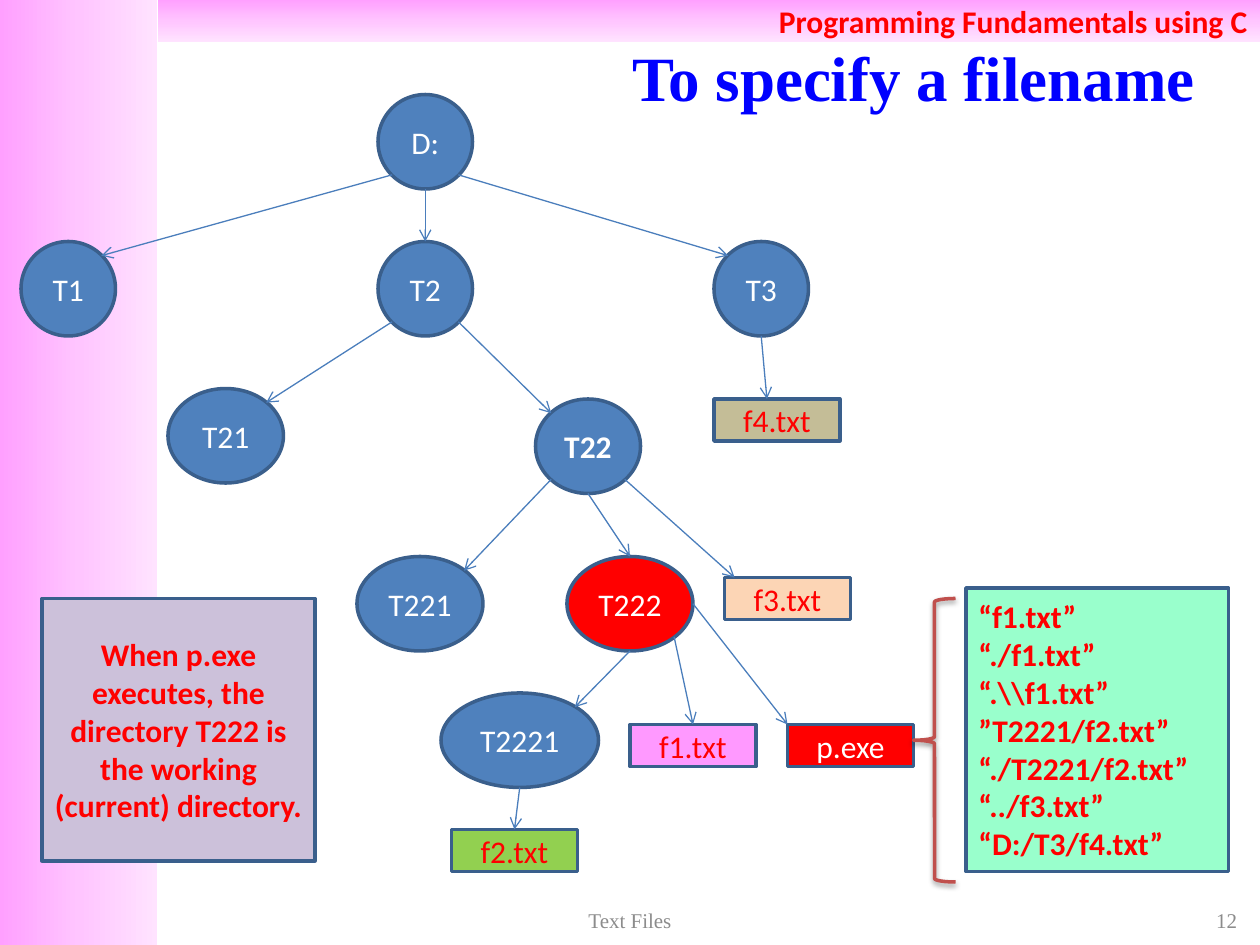
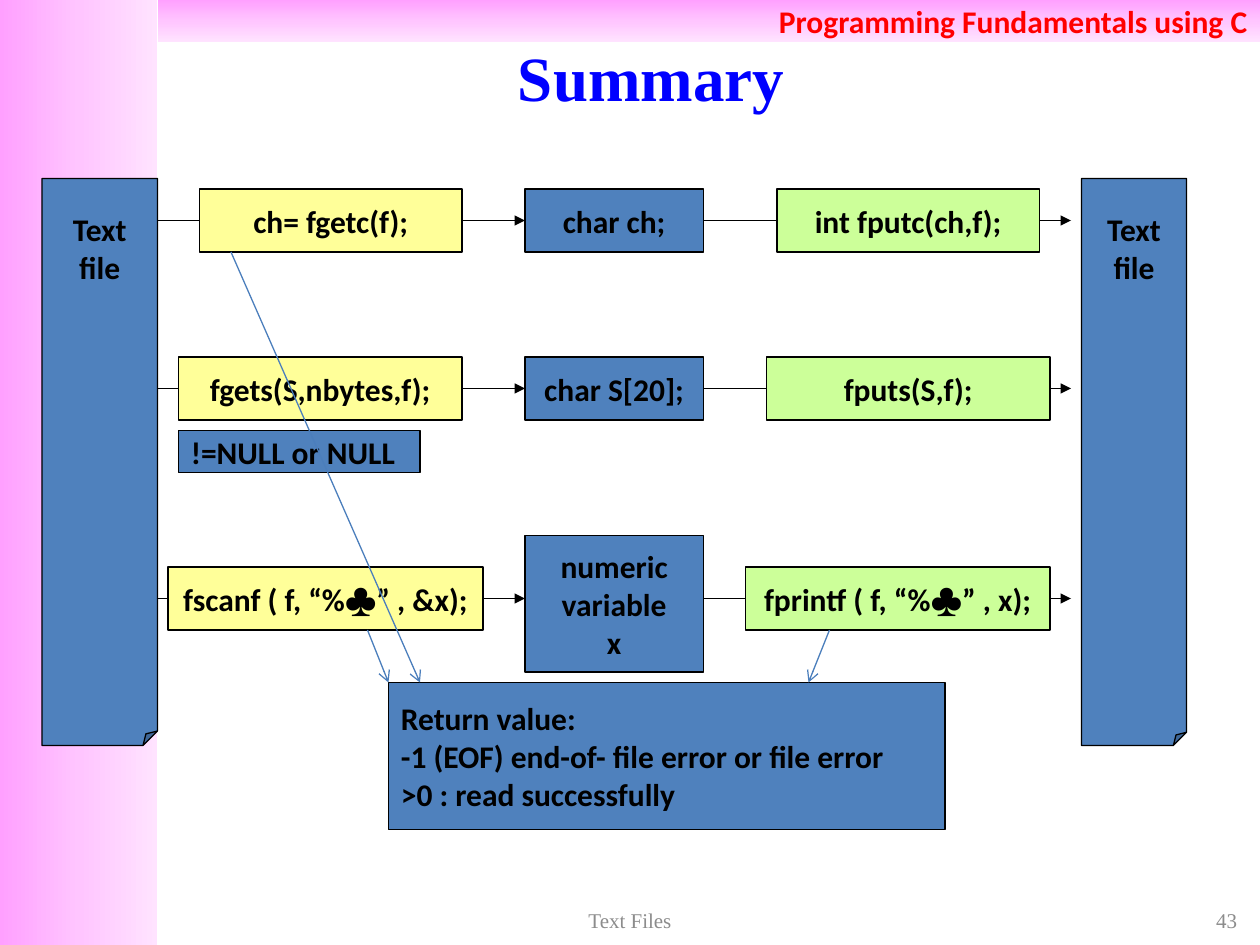
from copy import deepcopy
from lxml import etree
from pptx import Presentation
from pptx.dml.color import RGBColor
from pptx.enum.shapes import MSO_CONNECTOR, MSO_SHAPE
from pptx.enum.text import MSO_ANCHOR, MSO_AUTO_SIZE, PP_ALIGN
from pptx.oxml.ns import qn
from pptx.util import Pt

RECT, OVAL = MSO_SHAPE.RECTANGLE, MSO_SHAPE.OVAL
FOLDED, BRACE = MSO_SHAPE.FOLDED_CORNER, MSO_SHAPE.LEFT_BRACE
STRAIGHT = MSO_CONNECTOR.STRAIGHT
TOP, MIDDLE = MSO_ANCHOR.TOP, MSO_ANCHOR.MIDDLE
LEFT, CENTER, RIGHT = PP_ALIGN.LEFT, PP_ALIGN.CENTER, PP_ALIGN.RIGHT
NO_FIT = MSO_AUTO_SIZE.NONE

BODY, SERIF = "Calibri", "Times New Roman"
BLUE, OUTLINE, ARROW = "4F81BD", "3A5F8C", "4B7EBC"
RED, WHITE, BLACK, GREY = "FF0000", "FFFFFF", "000000", "8C8C8C"
TITLE, YELLOW, GREEN, BRACE_RED = "0000FF", "FFFF99", "CCFF99", "C0504D"
BAND_STOPS = [(0, "FFA0FF"), (0.5, "FFC5FF"), (1, "FFE3FF")]

COURSE, FOOTER = "Programming Fundamentals using C", "Text Files"

FOLDERS = {
    "D:": (216, 54, 54), "T1": (12, 138, 54), "T2": (216, 138, 54),
    "T3": (408, 138, 54), "T21": (96, 222, 66), "T22": (306, 228, 60),
    "T221": (204, 318, 72), "T222": (324, 318, 72), "T2221": (252, 396, 90),
}
FILES = {
    "f4.txt": (408, 228, "C4BD97", RED), "f2.txt": (258, 474, "92D050", RED),
    "f3.txt": (414, 330, "FCD5B5", RED), "f1.txt": (360, 414, "FF99FF", RED),
    "p.exe": (450, 414, RED, WHITE),
}
SPOTS = {
    "top": (0.5, 0), "bottom": (0.5, 1), "right": (1, 0.5), "corner": (0, 0),
    "nw": (0.15, 0.15), "ne": (0.85, 0.15), "sw": (0.15, 0.85), "se": (0.85, 0.85),
    "top left": (0.08, 0), "near top": (0.42, 0),
}
BRANCHES = [
    ("D:", "sw", "T1", "ne"), ("D:", "bottom", "T2", "top"), ("D:", "se", "T3", "nw"),
    ("T2", "sw", "T21", "ne"), ("T2", "se", "T22", "nw"), ("T22", "sw", "T221", "ne"),
    ("T22", "bottom", "T222", "top"), ("T222", "bottom", "T2221", "ne"),
    ("T2221", "bottom", "f2.txt", "top"), ("T22", "se", "f3.txt", "top left"),
    ("T222", "se", "f1.txt", "top"), ("T222", "right", "p.exe", "corner"),
    ("T3", "bottom", "f4.txt", "near top"),
]
FILENAMES = ["“f1.txt”", "“./f1.txt”", "“.\\\\f1.txt”", "”T2221/f2.txt”",
             "“./T2221/f2.txt”", "“../f3.txt”", "“D:/T3/f4.txt”"]
NOTE = "When p.exe executes, the directory T222 is the working (current) directory."

FLOWS = [
    (126, ("ch= fgetc(f);", 114, 150), ("char ch;", 108, 36), ("int fputc(ch,f);", 444, 150)),
    (222, ("fgets(S,nbytes,f);", 102, 162), ("char S[20];", 204, 36), ("fputs(S,f);", 438, 162)),
    (342, ("fscanf ( f, “%♣” , &x);", 96, 180), ("numeric\nvariable\nx", 306, 78),
     ("fprintf ( f, “%♣” , x);", 426, 174)),
]
TEXT_FILES = [(24, 66), (618, 60)]
RETURNS = "Return value:\n-1 (EOF) end-of- file error or file error\n>0 : read successfully"
RETURN_ARROWS = [(132, 144, 240, 390), (210, 360, 222, 390), (474, 360, 462, 390)]


def rgb(value):
    """Turn a hex string into a colour."""
    return RGBColor.from_string(value)


def write(sp, text, size=18, font=BODY, color=BLACK, bold=False, align=CENTER,
          anchor=MIDDLE, wrap=True):
    """Fill a shape with text in one format."""
    tf = sp.text_frame
    tf.text = text
    tf.word_wrap, tf.auto_size, tf.vertical_anchor = wrap, NO_FIT, anchor
    for p in tf.paragraphs:
        p.alignment = align
        for r in p.runs:
            r.font.size, r.font.name, r.font.bold = Pt(size), font, bold
            r.font.color.rgb = rgb(color)


def place(sp, box):
    """Move and size a shape to a box in points."""
    sp.left, sp.top, sp.width, sp.height = map(Pt, box)


def shape(s, kind, box, fill=None, line=None, width=0.75):
    """Add a preset shape without shadow."""
    sp = s.shapes.add_shape(kind, *map(Pt, box))
    sp.shadow.inherit = False
    if fill:
        sp.fill.solid()
        sp.fill.fore_color.rgb = rgb(fill)
    else:
        sp.fill.background()
    if line:
        sp.line.color.rgb, sp.line.width = rgb(line), Pt(width)
    else:
        sp.line.fill.background()
    return sp


def arrow(s, x1, y1, x2, y2, color=ARROW, head="arrow"):
    """Add a thin straight arrow."""
    c = s.shapes.add_connector(STRAIGHT, *map(Pt, (x1, y1, x2, y2)))
    c.line.color.rgb, c.line.width = rgb(color), Pt(0.75)
    etree.SubElement(c.element.spPr.find(qn("a:ln")), qn("a:tailEnd"), type=head)
    etree.SubElement(c.element.spPr, qn("a:effectLst"))


def band(s, box, angle):
    """Add a pink gradient band."""
    sp = shape(s, RECT, box)
    sp.fill.gradient()
    sp.fill.gradient_angle = angle
    stops = sp.element.spPr.find(".//" + qn("a:gsLst"))
    stops.insert(1, deepcopy(stops[0]))
    for stop, (position, color) in zip(sp.fill.gradient_stops, BAND_STOPS):
        stop.color.rgb, stop.position = rgb(color), position
    return sp


def new_slide(prs, title, box, align, number):
    """Add a slide with bands, title and footers."""
    s = prs.slides.add_slide(prs.slide_layouts[5])
    band(s, (0, 0, 90, 540), 0)
    write(band(s, (90, 0, 630, 24), 270), COURSE, color=RED, bold=True, align=RIGHT)
    sp = s.shapes.title
    place(sp, box)
    write(sp, title, 36, SERIF, TITLE, True, align)
    sp.element.getparent().append(sp.element)
    for text, x, w, side in [(number, 546, 168, RIGHT), (FOOTER, 246, 228, CENTER)]:
        tb = s.shapes.add_textbox(*map(Pt, (x, 516, w, 20)))
        write(tb, text, 12, SERIF, GREY, align=side)
    return s


def cast_shadow(sp):
    """Give a shape a soft shadow below it."""
    effects = sp.element.spPr.find(qn("a:effectLst"))
    shadow = etree.SubElement(effects, qn("a:outerShdw"), blurRad=str(Pt(3.1)),
                              dist=str(Pt(1.6)), dir="5400000", rotWithShape="0")
    color = etree.SubElement(shadow, qn("a:srgbClr"), val=BLACK)
    etree.SubElement(color, qn("a:alpha"), val="38000")


def fold_corner(sp, share):
    """Set how much of a folded-corner shape is folded."""
    guides = sp.element.spPr.find(".//" + qn("a:avLst"))
    etree.SubElement(guides, qn("a:gd"), name="adj", fmla=f"val {int(share * 100000)}")


def filename_slide(prs):
    """Draw the directory tree and the names of its files."""
    s = new_slide(prs, "To specify a filename", (354, 21.6, 366, 44.6), LEFT, "12")
    boxes = {}
    for name, (x, y, w) in FOLDERS.items():
        boxes[name] = (x, y, w, 54)
        sp = shape(s, OVAL, boxes[name], RED if name == "T222" else BLUE, OUTLINE, 2)
        write(sp, name, color=WHITE, bold=name == "T22", wrap=False)
    for name, (x, y, fill, color) in FILES.items():
        boxes[name] = (x, y, 72, 24)
        write(shape(s, RECT, boxes[name], fill, OUTLINE, 2), name, color=color)

    def spot(name, where):
        """Find a point on a node by its share of width and height."""
        (x, y, w, h), (fx, fy) = boxes[name], SPOTS[where]
        return x + fx * w, y + fy * h

    for parent, start, child, end in BRANCHES:
        arrow(s, *spot(parent, start), *spot(child, end))
    names = shape(s, RECT, (552, 336, 150, 162), "99FFCC", OUTLINE, 2)
    write(names, "\n".join(FILENAMES), color=RED, bold=True, align=LEFT)
    note = shape(s, RECT, (24, 342, 156, 150), "CCC1DA", OUTLINE, 2)
    write(note, NOTE, color=RED, bold=True)
    cast_shadow(shape(s, BRACE, (522, 342, 24, 162), line=BRACE_RED, width=2))


def summary_slide(prs):
    """Draw how each function moves data between file and variable."""
    s = new_slide(prs, "Summary", (60, 21.6, 624, 44.6), CENTER, "43")
    for y, *_ in FLOWS:
        for x in (90, 402):
            arrow(s, x, y, x + 210, y, BLACK, "triangle")
    for x, w in TEXT_FILES:
        sp = shape(s, FOLDED, (x, 102, w, 324), BLUE, BLACK)
        fold_corner(sp, 0.125)
        write(sp, "Text\nfile", bold=True, anchor=TOP, wrap=False)
        sp.text_frame.margin_top = Pt(18)
    for y, (reader, rx, rw), (variable, vy, vh), (writer, wx, ww) in FLOWS:
        for text, box, fill in [(variable, (300, vy, 102, vh), BLUE),
                                (reader, (rx, y - 18, rw, 36), YELLOW),
                                (writer, (wx, y - 18, ww, 36), GREEN)]:
            write(shape(s, RECT, box, fill, BLACK), text, bold=True, wrap=False)
    for text, box in [(RETURNS, (222, 390, 318, 84)), ("!=NULL or NULL", (102, 246, 138, 24))]:
        write(shape(s, RECT, box, BLUE, BLACK), text, bold=True, align=LEFT)
    for ends in RETURN_ARROWS:
        arrow(s, *ends)


prs = Presentation()
prs.slide_width, prs.slide_height = Pt(720), Pt(540)
filename_slide(prs)
summary_slide(prs)
prs.save("out.pptx")
